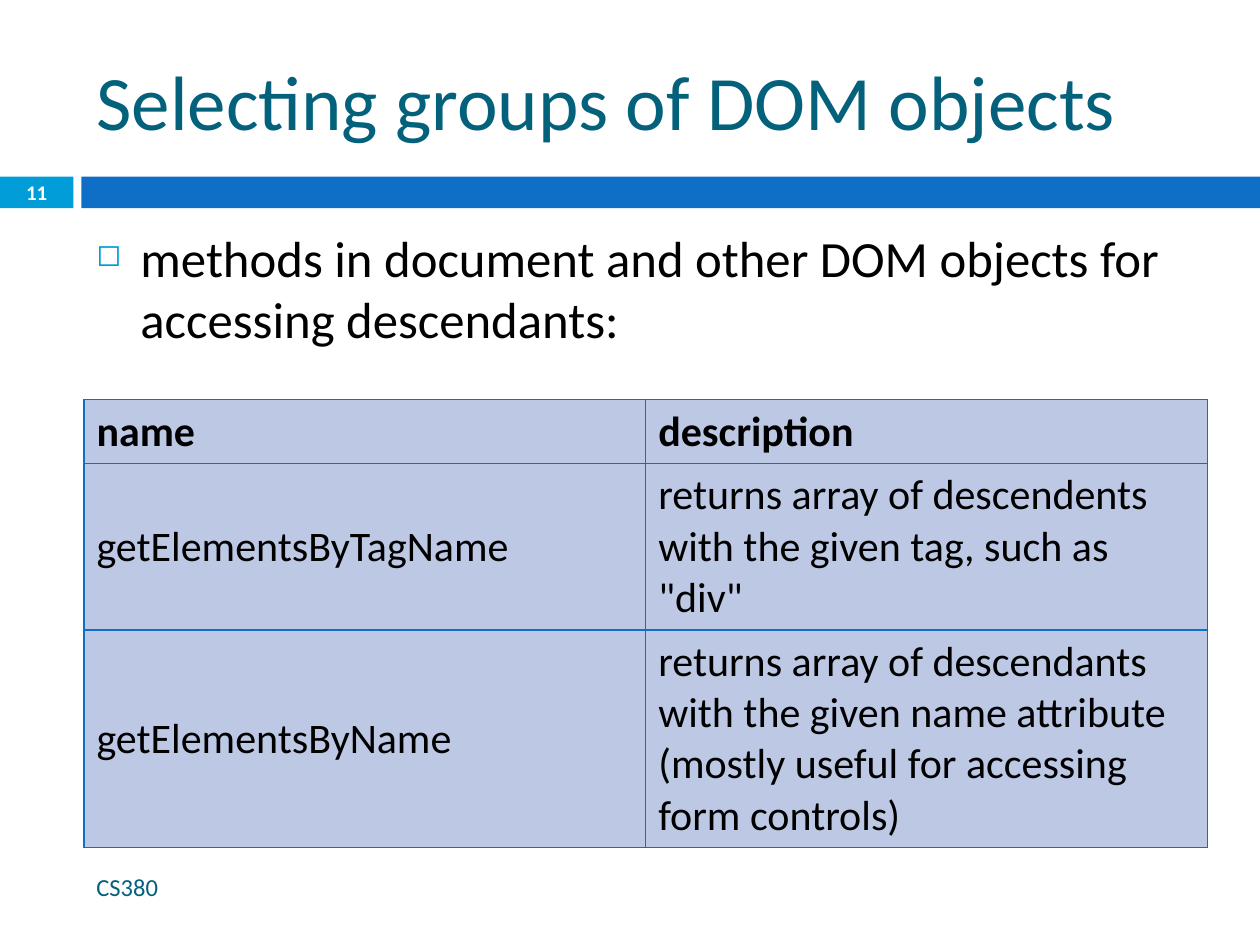
"""Build the slide on selecting groups of DOM objects."""
from lxml.etree import SubElement
from pptx import Presentation
from pptx.dml.color import RGBColor
from pptx.enum.shapes import MSO_SHAPE
from pptx.enum.text import MSO_ANCHOR, PP_ALIGN
from pptx.oxml.ns import qn
from pptx.util import Pt

HUES = {"title": "04617B", "blue": "0F6FC6", "cyan": "009DD9",
        "cell": "BDC8E4", "ink": "000000", "white": "FFFFFF"}
TITLE = "Selecting groups of DOM objects"
BODY = "methods in document and other DOM objects for accessing descendants:"
ROWS = [
    ("name", "description"),
    ("getElementsByTagName",
     'returns array of descendents with the given tag, such as "div"'),
    ("getElementsByName",
     "returns array of descendants with the given name attribute "
     "(mostly useful for accessing form controls)"),
]
HEIGHTS = (36.5, 95, 124.5)
BARS = [(0, 42, "cyan"), (46.5, 673.5, "blue")]
LEFT, WIDE = 48, 642


def hue(name):
    return RGBColor.from_string(HUES[name])


def write(frame, text, size=24, color="ink", bold=False,
          align=PP_ALIGN.LEFT, anchor=MSO_ANCHOR.MIDDLE):
    frame.word_wrap = True
    frame.vertical_anchor = anchor
    para = frame.paragraphs[0]
    para.alignment = align
    run = para.add_run()
    run.text = text
    font = run.font
    font.name, font.size, font.bold = "Calibri", Pt(size), bold
    font.color.rgb = hue(color)
    return para


def box(x, y, w, h):
    return slide.shapes.add_textbox(Pt(x), Pt(y), Pt(w), Pt(h)).text_frame


def bullet(para, char, color, indent, scale):
    props = para._p.get_or_add_pPr()
    props.set("marL", str(Pt(indent)))
    props.set("indent", str(-Pt(indent)))
    tint = SubElement(props, qn("a:buClr"))
    SubElement(tint, qn("a:srgbClr"), val=HUES[color])
    SubElement(props, qn("a:buSzPct"), val=str(scale * 1000))
    SubElement(props, qn("a:buChar"), char=char)


def border(cell, color, width):
    props = cell._tc.get_or_add_tcPr()
    for side in ("lnL", "lnR", "lnT", "lnB"):
        line = SubElement(props, qn("a:" + side), w=str(Pt(width)))
        fill = SubElement(line, qn("a:solidFill"))
        SubElement(fill, qn("a:srgbClr"), val=HUES[color])


deck = Presentation()
deck.slide_width, deck.slide_height = Pt(720), Pt(540)
slide = deck.slides.add_slide(deck.slide_layouts[5])

for x, w, color in BARS:
    bar = slide.shapes.add_shape(
        MSO_SHAPE.RECTANGLE, Pt(x), Pt(101), Pt(w), Pt(18))
    bar.shadow.inherit = False
    bar.fill.solid()
    bar.fill.fore_color.rgb = hue(color)
    bar.line.fill.background()

title = slide.shapes.title
title.left, title.top = Pt(LEFT), Pt(18)
title.width, title.height = Pt(WIDE), Pt(78)
write(title.text_frame, TITLE, size=44, color="title")

para = write(box(LEFT, 126, WIDE, 96), BODY, size=29, anchor=MSO_ANCHOR.TOP)
para.space_before = Pt(7)
bullet(para, "\u25fb", "cyan", 25.2, 60)

write(box(LEFT, 492, 427, 29), "CS380", size=14, color="title")
write(box(0, 100, 42, 20), "11", size=11.9, color="white", bold=True,
      align=PP_ALIGN.CENTER)

table = slide.shapes.add_table(
    len(ROWS), 2, Pt(LEFT), Pt(228.5), Pt(WIDE), Pt(sum(HEIGHTS))).table
for r, (texts, height) in enumerate(zip(ROWS, HEIGHTS)):
    table.rows[r].height = Pt(height)
    for c, text in enumerate(texts):
        cell = table.cell(r, c)
        write(cell.text_frame, text, bold=r == 0)
        cell.vertical_anchor = MSO_ANCHOR.MIDDLE
        border(cell, "blue", 0.79)
        cell.fill.solid()
        cell.fill.fore_color.rgb = hue("cell")

deck.save("out.pptx")
